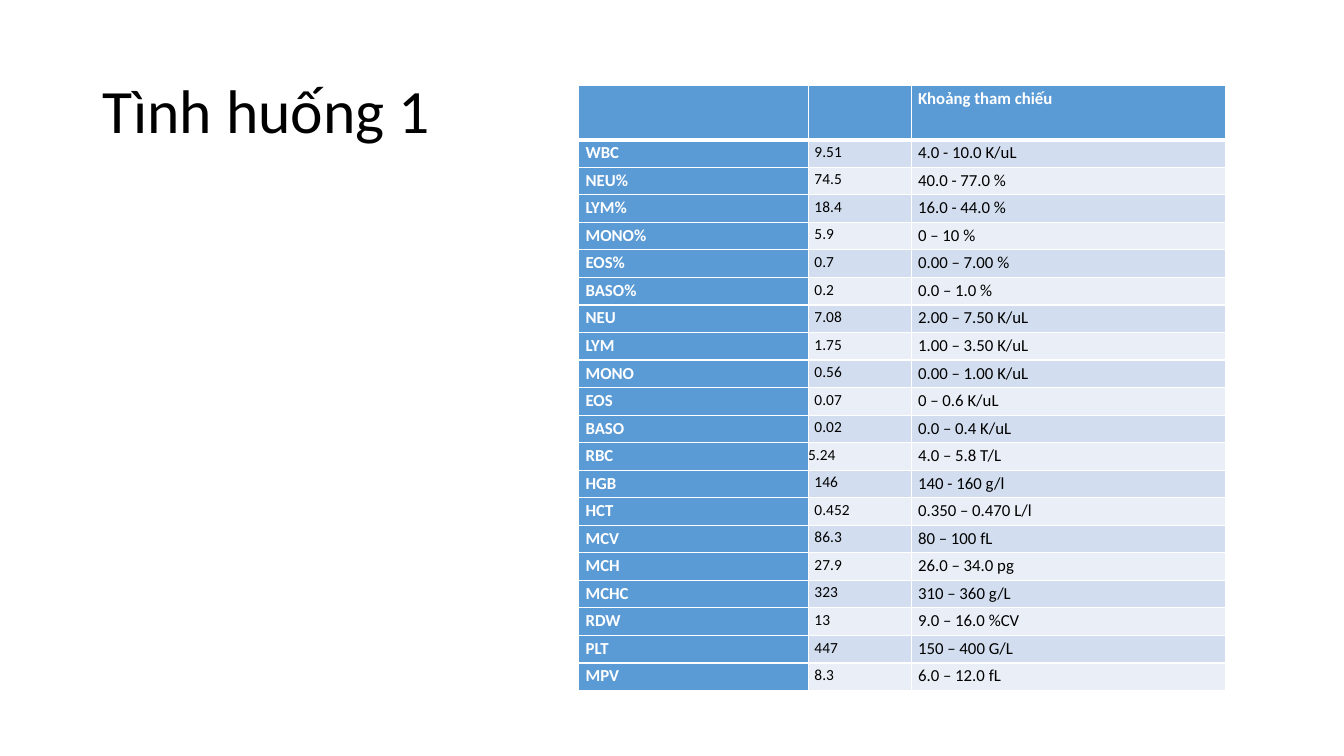
import pptx
import pptx.util
import pptx.dml.color
import pptx.enum.text
import lxml.etree
import pptx.oxml.ns

Pt = pptx.util.Pt
RGBColor = pptx.dml.color.RGBColor
ALIGN = pptx.enum.text.PP_ALIGN
ANCHOR = pptx.enum.text.MSO_ANCHOR
qn = pptx.oxml.ns.qn

BLACK = RGBColor(0x00, 0x00, 0x00)
WHITE = RGBColor(0xFF, 0xFF, 0xFF)
BLUE = RGBColor(0x5B, 0x9B, 0xD5)
BAND_DARK = RGBColor(0xD2, 0xDE, 0xEF)
BAND_LIGHT = RGBColor(0xEA, 0xEF, 0xF7)


def write(frame, text, size, color=BLACK, bold=False, align=ALIGN.LEFT, spacing=1.15, indent=0):
    paragraph = frame.paragraphs[0]
    paragraph.alignment = align
    paragraph.line_spacing = spacing
    paragraph._p.get_or_add_pPr().set("marL", str(Pt(indent)))
    run = paragraph.add_run()
    run.text = text
    run.font.name = "Calibri"
    run.font.size = Pt(size)
    run.font.bold = bold
    run.font.color.rgb = color


def add_borders(cell, widths):
    properties = cell._tc.get_or_add_tcPr()
    for side, width in widths.items():
        line = lxml.etree.SubElement(properties, qn(f"a:{side}"), w=str(Pt(width)))
        fill = lxml.etree.SubElement(line, qn("a:solidFill"))
        lxml.etree.SubElement(fill, qn("a:srgbClr"), val=str(WHITE))


blood_count = [
    ("", "", "Khoảng tham chiếu"),
    ("WBC", "9.51", "4.0 - 10.0 K/uL"),
    ("NEU%", "74.5", "40.0 - 77.0 %"),
    ("LYM%", "18.4", "16.0 - 44.0 %"),
    ("MONO%", "5.9", "0 – 10 %"),
    ("EOS%", "0.7", "0.00 – 7.00 %"),
    ("BASO%", "0.2", "0.0 – 1.0 %"),
    ("NEU", "7.08", "2.00 – 7.50 K/uL"),
    ("LYM", "1.75", "1.00 – 3.50 K/uL"),
    ("MONO", "0.56", "0.00 – 1.00 K/uL"),
    ("EOS", "0.07", "0 – 0.6 K/uL"),
    ("BASO", "0.02", "0.0 – 0.4 K/uL"),
    ("RBC", "5.24", "4.0 – 5.8 T/L"),
    ("HGB", "146", "140 - 160 g/l"),
    ("HCT", "0.452", "0.350 – 0.470 L/l"),
    ("MCV", "86.3", "80 – 100 fL"),
    ("MCH", "27.9", "26.0 – 34.0 pg"),
    ("MCHC", "323", "310 – 360 g/L"),
    ("RDW", "13", "9.0 – 16.0 %CV"),
    ("PLT", "447", "150 – 400 G/L"),
    ("MPV", "8.3", "6.0 – 12.0 fL"),
]
column_widths = [164, 74, 224]
header_height = 39
row_height = 19.7

deck = pptx.Presentation()
deck.slide_width = Pt(960)
deck.slide_height = Pt(540)
slide = deck.slides.add_slide(deck.slide_layouts[6])

title = slide.shapes.add_textbox(Pt(66), Pt(28.75), Pt(828), Pt(104.4)).text_frame
title.word_wrap = True
title.vertical_anchor = ANCHOR.MIDDLE
write(title, "Tình huống 1", size=44, spacing=0.9)

results = slide.shapes.add_table(
    len(blood_count), len(column_widths), Pt(413.3), Pt(60.8),
    Pt(sum(column_widths)), Pt(header_height + row_height * (len(blood_count) - 1)),
).table
for column, width in zip(results.columns, column_widths):
    column.width = Pt(width)

for r, record in enumerate(blood_count):
    results.rows[r].height = Pt(row_height if r else header_height)
    band = BAND_DARK if r % 2 else BAND_LIGHT
    for c, entry in enumerate(record):
        cell = results.cell(r, c)
        heading = r == 0 or c == 0
        add_borders(cell, {"lnL": 1, "lnR": 1, "lnT": 3 if r == 1 else 1, "lnB": 1 if r else 3})
        cell.fill.solid()
        cell.fill.fore_color.rgb = BLUE if heading else band
        if not entry:
            continue
        cell.margin_left = cell.margin_right = cell.margin_top = cell.margin_bottom = 0
        if record[0] == "RBC" and c == 1:
            indent = 0
        else:
            indent = 5 if c == 0 else 4.5
        write(cell.text_frame, entry, size=11 if c == 1 else 12,
              color=WHITE if heading else BLACK, bold=heading,
              align=ALIGN.JUSTIFY, indent=indent)

deck.save("out.pptx")
